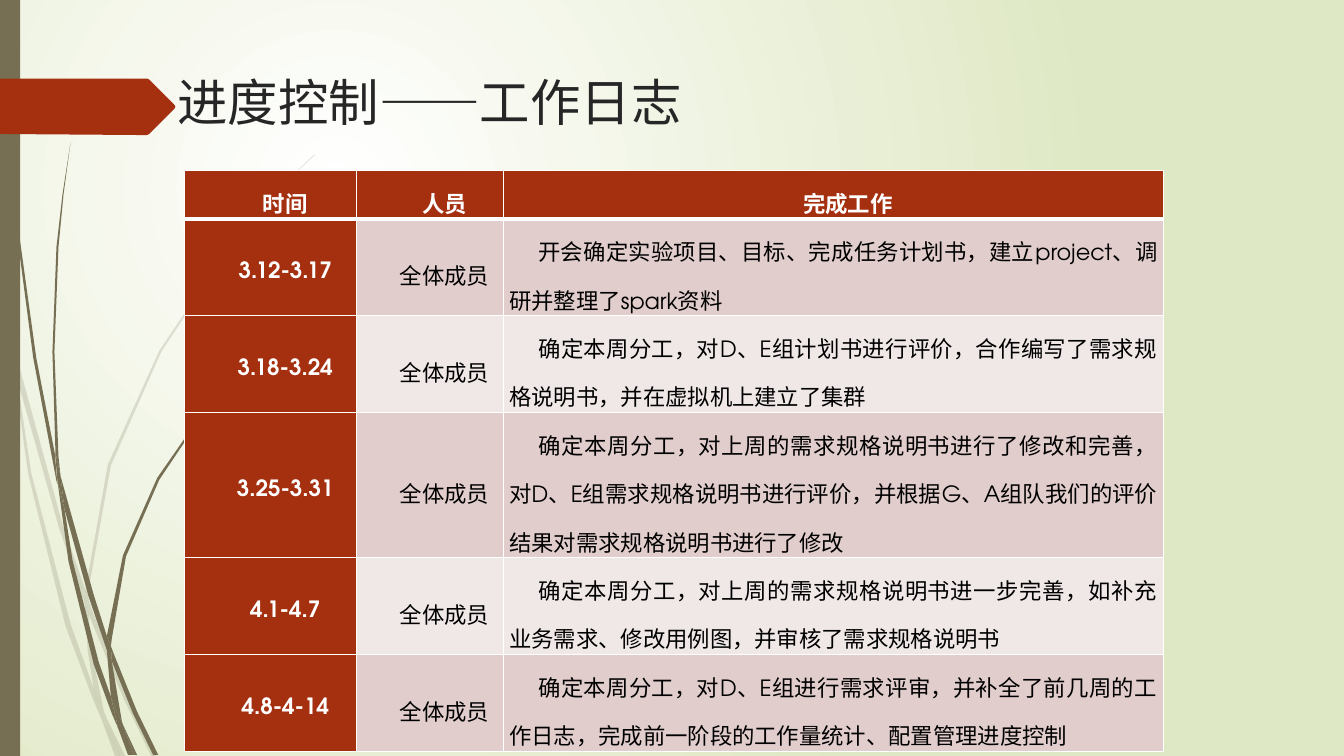
from lxml import etree
from pptx import Presentation
from pptx.dml.color import RGBColor
from pptx.enum import shapes, text
from pptx.oxml import ns
from pptx.util import Pt

PX = 9144
FONT = "TeX Gyre Adventor"
HUES = {
    "white": "FFFFFF", "green": "DFE8C4", "olive": "766F54", "red": "A53010",
    "ink": "262626", "black": "000000", "odd": "E1CDCC", "even": "F0E8E7",
}
TITLE = "进度控制——工作日志"
HEADS = ["时间", "人员", "完成工作"]
STAFF = "全体成员"
LOG = [
    ("3.12-3.17", "开会确定实验项目、目标、完成任务计划书，建立project、调研并整理了spark资料"),
    ("3.18-3.24", "确定本周分工，对D、E组计划书进行评价，合作编写了需求规格说明书，并在虚拟机上建立了集群"),
    ("3.25-3.31", "确定本周分工，对上周的需求规格说明书进行了修改和完善，对D、E组需求规格说明书进行评价，"
                  "并根据G、A组队我们的评价结果对需求规格说明书进行了修改"),
    ("4.1-4.7", "确定本周分工，对上周的需求规格说明书进一步完善，如补充业务需求、修改用例图，并审核了需求规格说明书"),
    ("4.8-4-14", "确定本周分工，对D、E组进行需求评审，并补全了前几周的工作日志，完成前一阶段的工作量统计、配置管理进度控制"),
]
COLS = [171, 145, 655]
ROWS = [41, 84, 84, 112, 84, 84]
ARROW = [(173, 108), (148, 133), (146, 134), (136, 134), (0, 133), (0, 78),
         (136, 78), (146, 78), (148, 79), (173, 104), (174, 106)]
PALE = [
    [(11, 350), (9, 322), (0, 282), (0, 299), (10, 344)],
    [(58, 522), (84, 599), (85, 586), (62, 520), (14, 345), (17, 376)],
    [(92, 607), (88, 596), (88, 610), (123, 694), (150, 750), (155, 750), (127, 692)],
    [(119, 750), (124, 750), (105, 711)],
    [(93, 683), (70, 619), (31, 469), (17, 376), (11, 350), (28, 470), (65, 621), (92, 693),
     (101, 714), (99, 707)],
    [(84, 599), (87, 646), (93, 683), (96, 692), (105, 711), (103, 706), (91, 646), (88, 610), (88, 608)],
    [(88, 584), (110, 462), (160, 349), (229, 245), (268, 198), (290, 175), (312, 154), (312, 153),
     (289, 175), (268, 197), (228, 244), (158, 348), (107, 461), (85, 584), (85, 586), (88, 596)],
    [(101, 714), (114, 750), (119, 750)],
    [(88, 608), (88, 610), (88, 596), (85, 586), (84, 599)],
    [(96, 692), (93, 683), (99, 707), (101, 714), (119, 750), (105, 711)],
]
DARK = [
    [(7, 110), (17, 233), (33, 355), (56, 477), (57, 481), (55, 457), (55, 453), (36, 355),
     (19, 232), (8, 109), (5, 48), (4, 0), (3, 0), (4, 48)],
    [(88, 592), (106, 645), (106, 633), (106, 631), (93, 590), (60, 472), (64, 505)],
    [(113, 649), (110, 641), (111, 656), (132, 708), (152, 749), (157, 749), (136, 706)],
    [(110, 691), (98, 657), (72, 556), (64, 505), (57, 477), (68, 557), (93, 659), (111, 708),
     (117, 722), (116, 717)],
    [(60, 472), (58, 453), (54, 349), (58, 245), (63, 193), (70, 141), (62, 193), (56, 245),
     (52, 349), (55, 449)],
    [(133, 749), (136, 749), (122, 719)],
    [(57, 477), (64, 505), (60, 472), (55, 449), (55, 453)],
    [(111, 633), (125, 552), (158, 476), (205, 406), (231, 374), (245, 359), (261, 344), (260, 344),
     (245, 358), (231, 373), (204, 405), (156, 474), (122, 551), (106, 631), (110, 641)],
    [(117, 722), (127, 749), (131, 749)],
    [(106, 645), (110, 691), (116, 706), (122, 719), (121, 716), (111, 656), (109, 651)],
    [(106, 645), (109, 651), (111, 656), (110, 641), (106, 631), (106, 633)],
    [(116, 706), (110, 691), (116, 717), (117, 722), (130, 749), (133, 749), (122, 719)],
]


def px(n):
    return n * PX


def rgb(name):
    return RGBColor.from_string(HUES[name])


def sub(node, tag, **attrs):
    return etree.SubElement(node, ns.qn(tag), {k: str(v) for k, v in attrs.items()})


def paint(shape, hue):
    shape.shadow.inherit = False
    shape.fill.solid()
    shape.fill.fore_color.rgb = rgb(hue)
    shape.line.fill.background()


def trace(slide, pts, hue):
    pen = slide.shapes.build_freeform(*pts[0], scale=PX)
    pen.add_line_segments(pts[1:], close=True)
    shape = pen.convert_to_shape()
    paint(shape, hue)
    return shape


def backdrop(slide):
    fill = slide.background.fill
    fill.gradient()
    for stop, hue, at in zip(fill.gradient_stops, ("white", "green"), (0, 1)):
        stop.color.rgb = rgb(hue)
        stop.position = at
    grad = slide.background._cSld.find(".//" + ns.qn("a:gradFill"))
    grad.remove(grad.find(ns.qn("a:lin")))
    ring = sub(grad, "a:path", path="circle")
    sub(ring, "a:fillToRect", l=50000, t=50000, r=100000, b=100000)


def grass(slide):
    for pts in PALE:
        tint = trace(slide, pts, "olive").fill._xPr.find(".//" + ns.qn("a:srgbClr"))
        sub(tint, "a:alpha", val=20000)
    for pts in DARK:
        trace(slide, pts, "olive")


def heading(slide):
    box = slide.shapes.title
    box.left, box.top, box.width, box.height = map(px, (166, 66, 975, 140))
    frame = box.text_frame
    frame.text = TITLE
    frame.auto_size = text.MSO_AUTO_SIZE.NONE
    frame.vertical_anchor = text.MSO_ANCHOR.TOP
    para = frame.paragraphs[0]
    para.alignment = text.PP_ALIGN.LEFT
    para.font.size, para.font.name = Pt(36), FONT
    para.font.color.rgb = rgb("ink")


def border(cell, head):
    props = cell._tc.get_or_add_tcPr()
    for side in "LRTB":
        thick = 3 if head and side == "B" else 1
        edge = sub(props, "a:ln" + side, w=Pt(thick))
        sub(sub(edge, "a:solidFill"), "a:srgbClr", val=HUES["white"])


def write(cell, words, row, col):
    head, lead = row == 0, row == 0 or col == 0
    border(cell, head)
    cell.fill.solid()
    cell.fill.fore_color.rgb = rgb("red" if lead else "odd" if row % 2 else "even")
    cell.margin_left = cell.margin_right = px(6)
    cell.margin_top = cell.margin_bottom = 0
    middle = not head and col < 2
    cell.vertical_anchor = text.MSO_ANCHOR.MIDDLE if middle else text.MSO_ANCHOR.TOP
    cell.text = words
    para = cell.text_frame.paragraphs[0]
    para.alignment = text.PP_ALIGN.CENTER if head or col < 2 else text.PP_ALIGN.JUSTIFY
    para.line_spacing = 1.5
    para._p.get_or_add_pPr().set("indent", str(px(29)))
    para.font.size, para.font.name, para.font.bold = Pt(16), FONT, lead
    para.font.color.rgb = rgb("white" if lead else "black")


def journal(slide):
    data = [HEADS] + [(day, STAFF, work) for day, work in LOG]
    grid = slide.shapes.add_table(
        len(ROWS), len(COLS), px(183), px(169), px(sum(COLS)), px(sum(ROWS))).table
    for col, wide in zip(grid.columns, COLS):
        col.width = px(wide)
    for r, (line, tall) in enumerate(zip(data, ROWS)):
        grid.rows[r].height = px(tall)
        for c, words in enumerate(line):
            write(grid.cell(r, c), words, r, c)


def main():
    deck = Presentation()
    deck.slide_width, deck.slide_height = px(1333), px(750)
    slide = deck.slides.add_slide(deck.slide_layouts[5])
    backdrop(slide)
    grass(slide)
    stem = slide.shapes.add_shape(shapes.MSO_SHAPE.RECTANGLE, 0, 0, px(20), px(750))
    paint(stem, "olive")
    trace(slide, ARROW, "red")
    heading(slide)
    journal(slide)
    deck.save("out.pptx")


if __name__ == "__main__":
    main()
